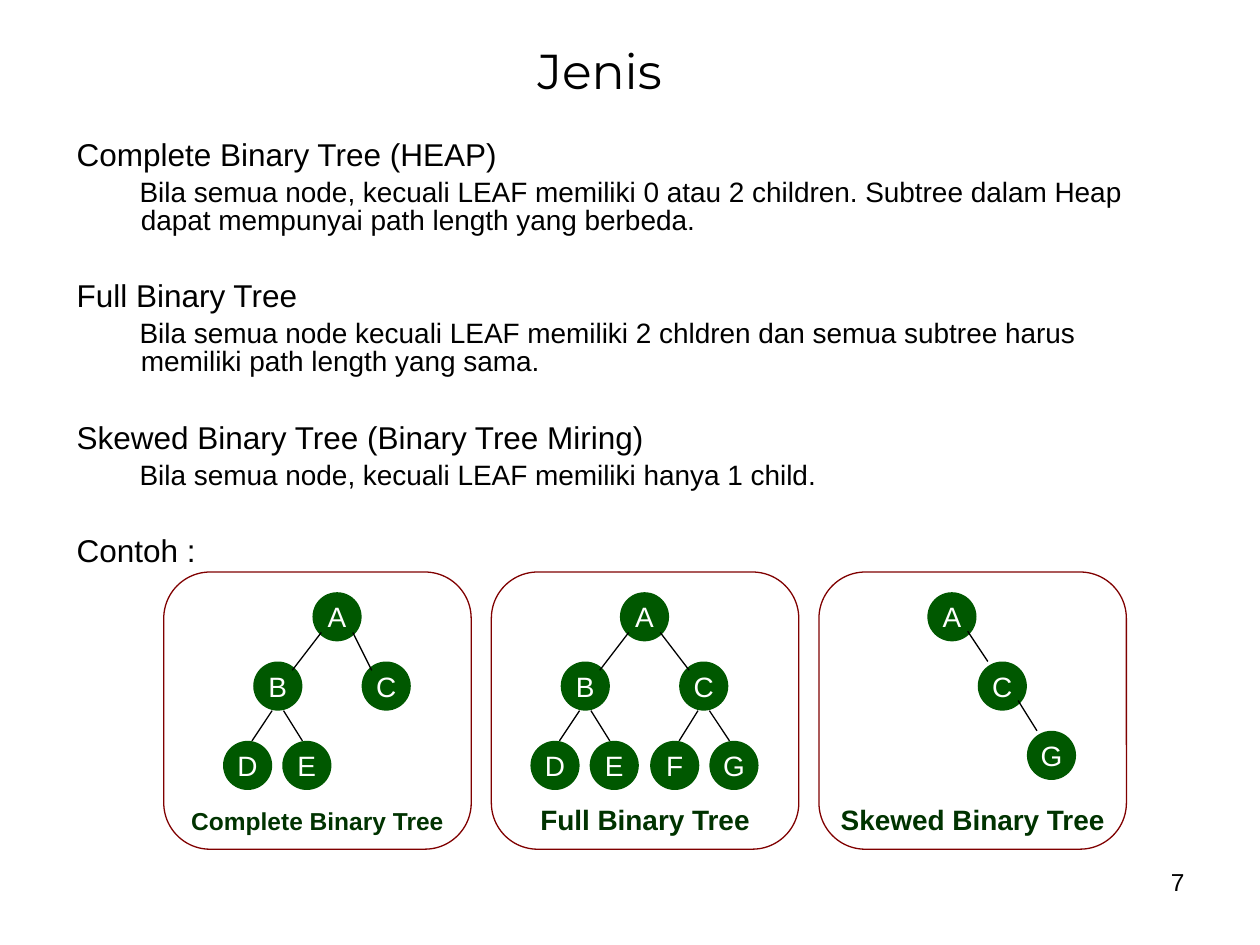
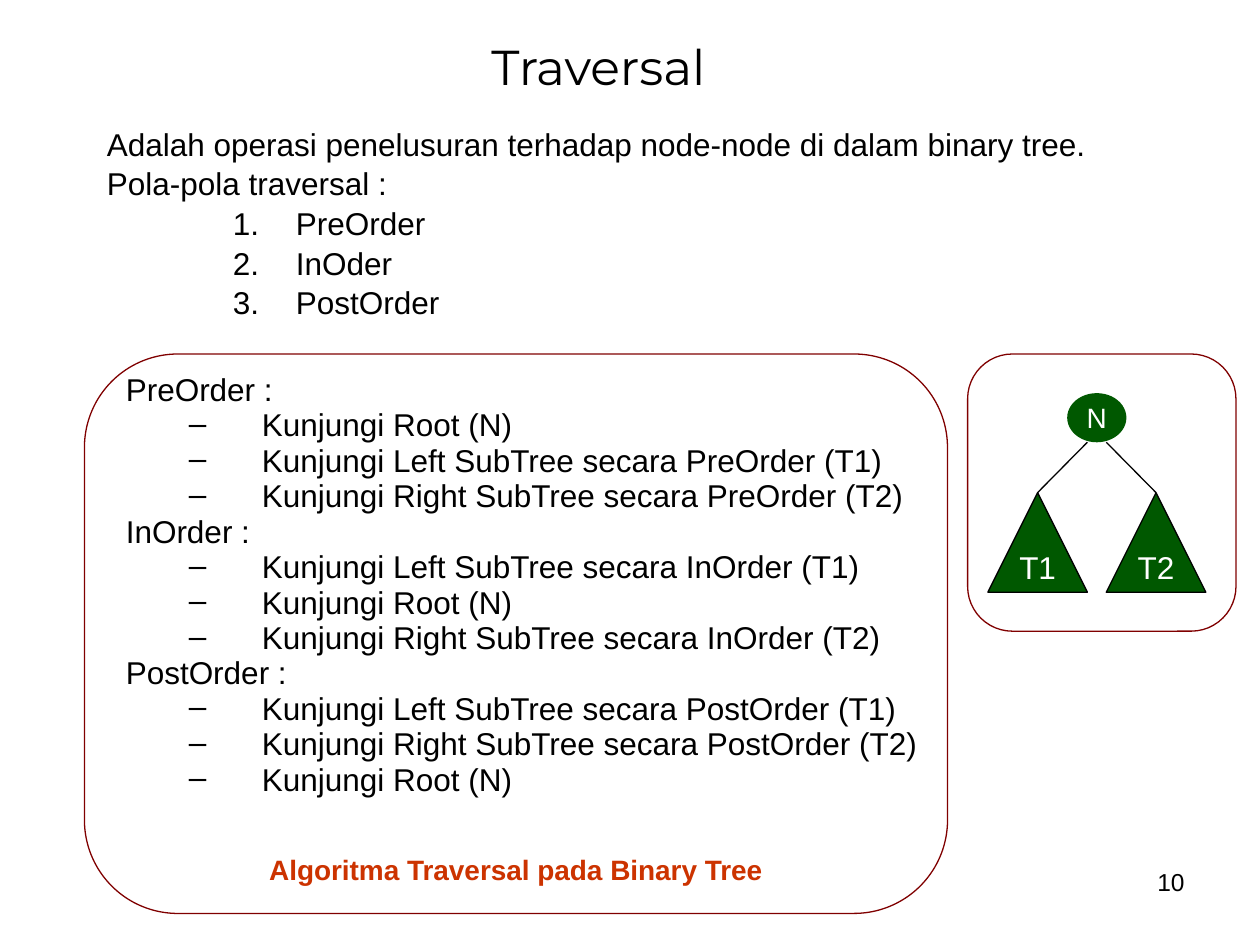
import pptx
import pptx.dml.color
import pptx.enum.shapes
import pptx.enum.text
import pptx.oxml.ns
import pptx.util
from lxml import etree

Inches = pptx.util.Inches
Pt = pptx.util.Pt
SHAPE = pptx.enum.shapes.MSO_SHAPE
ALIGN = pptx.enum.text.PP_ALIGN
ANCHOR = pptx.enum.text.MSO_ANCHOR

BLACK, WHITE = "000000", "FFFFFF"
GREEN, DARK_GREEN = "005800", "003300"
MAROON, ORANGE = "800000", "CC3300"
INSETS = (0.1, 0.05)
NODE = 0.39

HEADING = {"indent": (0.38, -0.38), "line_spacing": 0.84, "space_before": 26.4, "size": 18}
DEFINITION = {"indent": (0.51, -0.01), "line_spacing": 0.84, "space_before": 4, "size": 16}
INTRO = {"indent": (0.67, -0.67), "line_spacing": 0.84, "space_before": 4.5, "size": 18}
NUMBERED = INTRO | {"indent": (1.5, -0.5), "bullet": ("buAutoNum", {"type": "arabicPeriod"})}
ORDER = INTRO | {"line_spacing": 0.73}
STEP = ORDER | {"indent": (1.08, -0.58), "bullet": ("buChar", {"char": "–"})}

TYPES = [
    ("Complete Binary Tree (HEAP)",
     "Bila semua node, kecuali LEAF memiliki 0 atau 2 children. "
     "Subtree dalam Heap dapat mempunyai path length yang berbeda."),
    ("Full Binary Tree",
     "Bila semua node kecuali LEAF memiliki 2 chldren dan semua subtree "
     "harus memiliki path length yang sama."),
    ("Skewed Binary Tree (Binary Tree Miring)",
     "Bila semua node, kecuali LEAF memiliki hanya 1 child."),
]

ROOT_JOINT = ((0.32, 0.32), (0.08, 0.07))
LEAF_JOINT = ((0.24, 0.39), (0.16, 0))
SKEW_JOINT = ((0.32, 0.31), (0.08, 0))
FULL_LEVELS = (4.7, 5.25, 5.88)
SKEWED_LEVELS = (4.7, 5.25, 5.8)
FULL_JOINTS = (ROOT_JOINT, LEAF_JOINT)
SKEWED_JOINTS = (SKEW_JOINT, SKEW_JOINT)

TREES = [
    ("Complete Binary Tree", 14, FULL_LEVELS, FULL_JOINTS,
     [{"A": 1.18}, {"B": 0.71, "C": 1.57}, {"D": 0.47, "E": 0.94}],
     ["AB AC", "BD BE"]),
    ("Full Binary Tree", 16, FULL_LEVELS, FULL_JOINTS,
     [{"A": 1.02}, {"B": 0.55, "C": 1.49}, {"D": 0.31, "E": 0.78, "F": 1.26, "G": 1.73}],
     ["AB AC", "BD BE CF CG"]),
    ("Skewed Binary Tree", 16, SKEWED_LEVELS, SKEWED_JOINTS,
     [{"A": 0.86}, {"C": 1.26}, {"G": 1.65}],
     ["AC", "CG"]),
]

ROOT = "Kunjungi Root (N)"
LEFT = "Kunjungi Left SubTree secara {} (T1)"
RIGHT = "Kunjungi Right SubTree secara {} (T2)"
TRAVERSALS = {
    "PreOrder": (ROOT, LEFT, RIGHT),
    "InOrder": (LEFT, ROOT, RIGHT),
    "PostOrder": (LEFT, RIGHT, ROOT),
}


def color(value):
    return pptx.dml.color.RGBColor.from_string(value)


def set_frame(frame, insets=INSETS, anchor=ANCHOR.TOP, wrap=True):
    horizontal, vertical = map(Inches, insets)
    settings = {
        "margin_left": horizontal, "margin_right": horizontal,
        "margin_top": vertical, "margin_bottom": vertical,
        "vertical_anchor": anchor, "word_wrap": wrap,
    }
    for name, value in settings.items():
        setattr(frame, name, value)


def set_font(paragraph, size, ink=BLACK, bold=False, family="Arial"):
    for name, value in {"name": family, "size": Pt(size), "bold": bold}.items():
        setattr(paragraph.font, name, value)
    paragraph.font.color.rgb = color(ink)


def add_label(shape, text, size, ink, anchor=ANCHOR.MIDDLE, insets=INSETS, bold=False):
    set_frame(shape.text_frame, insets, anchor, wrap=False)
    paragraph = shape.text_frame.paragraphs[0]
    paragraph.text = text
    paragraph.alignment = ALIGN.CENTER
    set_font(paragraph, size, ink, bold)


def add_figure(slide, preset, box, fill=None, line=None):
    figure = slide.shapes.add_shape(preset, *map(Inches, box))
    figure.shadow.inherit = False
    if fill:
        figure.fill.solid()
        figure.fill.fore_color.rgb = color(fill)
    else:
        figure.fill.background()
    if line:
        figure.line.color.rgb = color(line)
        figure.line.width = Pt(0.75)
    else:
        figure.line.fill.background()
    return figure


def add_panel(slide, box, caption="", size=16, ink=DARK_GREEN):
    panel = add_figure(slide, SHAPE.ROUNDED_RECTANGLE, box, line=MAROON)
    panel.adjustments[0] = 0.167
    if caption:
        add_label(panel, caption, size, ink, ANCHOR.BOTTOM, (0, 0), True)


def add_node(slide, letter, left, top, width=NODE):
    node = add_figure(slide, SHAPE.OVAL, (left, top, width, NODE), GREEN)
    add_label(node, letter, 16, WHITE)


def add_edge(slide, start, end):
    edge = slide.shapes.add_connector(
        pptx.enum.shapes.MSO_CONNECTOR.STRAIGHT, *map(Inches, start + end))
    edge.line.color.rgb = color(BLACK)
    edge.line.width = Pt(0.75)
    etree.SubElement(edge._element.spPr, pptx.oxml.ns.qn("a:effectLst"))
    return edge


def add_line_of_text(slide, box, text, size, alignment, anchor, family="Arial"):
    frame = slide.shapes.add_textbox(*map(Inches, box)).text_frame
    set_frame(frame, anchor=anchor)
    paragraph = frame.paragraphs[0]
    paragraph.text = text
    paragraph.alignment = alignment
    set_font(paragraph, size, family=family)


def add_outline(slide, box, entries):
    frame = slide.shapes.add_textbox(*map(Inches, box)).text_frame
    set_frame(frame)
    for index, (text, style) in enumerate(entries):
        paragraph = frame.add_paragraph() if index else frame.paragraphs[0]
        paragraph.text = text
        paragraph.line_spacing = style["line_spacing"]
        paragraph.space_before = Pt(style["space_before"] if index else 0)
        properties = paragraph._p.get_or_add_pPr()
        for name, length in zip(("marL", "indent"), style["indent"]):
            properties.set(name, str(Inches(length)))
        if "bullet" in style:
            tag, attributes = style["bullet"]
            typeface = etree.SubElement(properties, pptx.oxml.ns.qn("a:buFont"))
            typeface.set("typeface", "Arial")
            etree.SubElement(properties, pptx.oxml.ns.qn("a:" + tag), attributes)
        set_font(paragraph, style["size"])


def start_slide(deck, title, left, top, number):
    slide = deck.slides.add_slide(deck.slide_layouts[6])
    add_line_of_text(slide, (left, top, 8.5, 0.55), title, 28,
                     ALIGN.CENTER, ANCHOR.MIDDLE, "Montserrat")
    add_line_of_text(slide, (7.17, 6.83, 2.33, 0.52), number, 14,
                     ALIGN.RIGHT, ANCHOR.TOP)
    return slide


def add_tree(slide, left, caption, size, tops, joints, levels, edges):
    add_panel(slide, (left, 4.54, 2.44, 2.2), caption, size)
    places = {}
    for top, level in zip(tops, levels):
        for letter, offset in level.items():
            places[letter] = (left + offset, top)
            add_node(slide, letter, *places[letter])
    for (leaving, arriving), pairs in zip(joints, edges):
        for parent, child in pairs.split():
            (px, py), (cx, cy) = places[parent], places[child]
            out_x, in_x = leaving[0], arriving[0]
            if cx < px:
                out_x, in_x = NODE - out_x, NODE - in_x
            add_edge(slide, (px + out_x, py + leaving[1]),
                     (cx + in_x, cy + arriving[1]))


def build_types(deck):
    slide = start_slide(deck, "Jenis", 0.51, 0.28, "7")
    entries = []
    for name, definition in TYPES:
        entries += [(name, HEADING), (definition, DEFINITION)]
    entries.append(("Contoh :", HEADING))
    add_outline(slide, (0.51, 1.07, 8.98, 3.54), entries)
    for index, tree in enumerate(TREES):
        add_tree(slide, 1.3 + 2.6 * index, *tree)


def build_traversal(deck):
    slide = start_slide(deck, "Traversal", 0.5, 0.25, "10")
    patterns = [(name, NUMBERED) for name in ("PreOrder", "InOder", "PostOrder")]
    add_outline(slide, (0.75, 0.99, 8.66, 1.81), [
        ("Adalah operasi penelusuran terhadap node-node di dalam binary tree.", INTRO),
        ("Pola-pola traversal :", INTRO), *patterns])

    add_panel(slide, (0.67, 2.81, 6.85, 4.44),
              "Algoritma Traversal pada Binary Tree", ink=ORANGE)
    entries = []
    for order, steps in TRAVERSALS.items():
        entries.append((order + " :", ORDER))
        entries += [(step.format(order), STEP) for step in steps]
    add_outline(slide, (0.9, 2.96, 6.62, 3.55), entries)

    add_panel(slide, (7.68, 2.81, 2.13, 2.2))
    add_node(slide, "N", 8.47, 3.12, 0.47)
    for name, left, start in (("T1", 7.84, 8.63), ("T2", 8.78, 8.78)):
        subtree = add_figure(slide, SHAPE.ISOSCELES_TRIANGLE,
                             (left, 3.91, 0.79, 0.79), GREEN, BLACK)
        add_label(subtree, name, 18, WHITE, insets=(0, 0.05))
        branch = add_edge(slide, (start, 3.51), (left + 0.39, 3.91))
        branch.end_connect(subtree, 0)


def main():
    deck = pptx.Presentation()
    deck.slide_width, deck.slide_height = Inches(10), Inches(7.5)
    build_types(deck)
    build_traversal(deck)
    deck.save("out.pptx")


if __name__ == "__main__":
    main()
